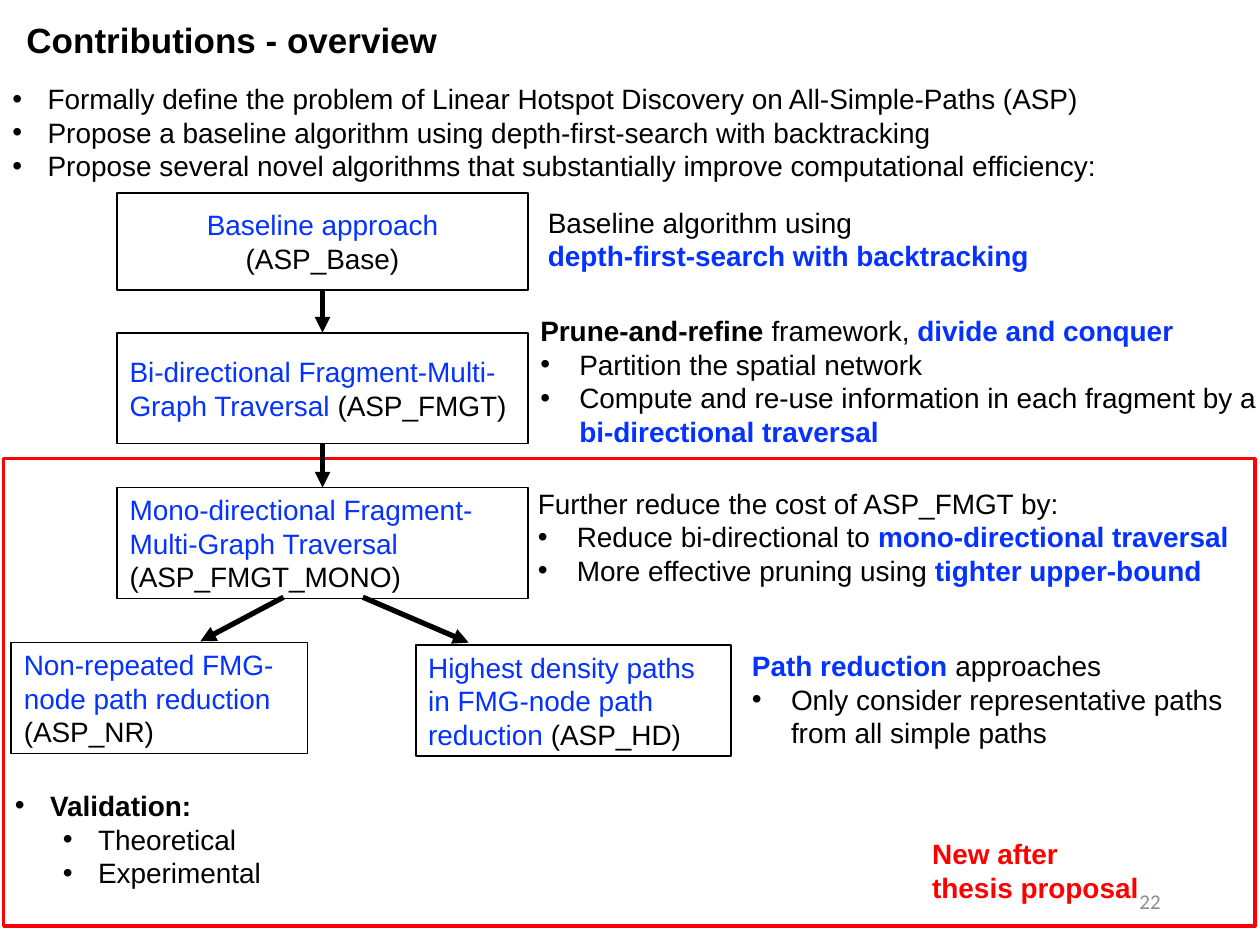
from lxml.etree import SubElement
from pptx import Presentation
from pptx.dml.color import RGBColor
from pptx.enum.shapes import MSO_CONNECTOR, MSO_SHAPE
from pptx.enum.text import MSO_ANCHOR, PP_ALIGN
from pptx.oxml.ns import qn
from pptx.util import Inches, Pt

theme = {
    "font": "Arial", "title": Pt(20), "body": Pt(16), "page": Pt(12),
    "black": RGBColor(0, 0, 0), "blue": RGBColor(0x04, 0x32, 0xFF),
    "red": RGBColor(0xFF, 0, 0), "gray": RGBColor(0x8C, 0x8C, 0x8C),
}

# Grid of 100 columns by 75 rows, with square cells
deck = Presentation()
deck.slide_width, deck.slide_height = Inches(10), Inches(7.5)
cell = deck.slide_width / 100
slide = deck.slides.add_slide(deck.slide_layouts[5])
shapes = slide.shapes

# Left margin of each paragraph kind, its hanging indent and its bullet
kinds = {
    "plain": (0, 0, ""), "item": (2.8, -2.8, "•"), "sub": (6.6, -2.8, "•"),
    "note": (3.1, -3.1, "•"), "more": (3.1, 0, ""),
}


def grid(*spots):
    return [round(spot * cell) for spot in spots]


def write(frame, lines, size="body", face=theme["font"], align=PP_ALIGN.LEFT):
    """Each line is its kind, then runs of (text, ink, bold)."""
    frame.word_wrap = True
    for i, (kind, *runs) in enumerate(lines):
        para = frame.add_paragraph() if i else frame.paragraphs[0]
        para.alignment = align
        left, hang, mark = kinds[kind]
        props = para._p.get_or_add_pPr()
        if left:
            props.set("marL", str(round(left * cell)))
            props.set("indent", str(round(hang * cell)))
        if mark:
            SubElement(props, qn("a:buFont"), typeface=theme["font"])
            SubElement(props, qn("a:buChar"), char=mark)
        para.font.name, para.font.size = face, theme[size]
        for text, ink, bold in runs:
            run = para.add_run()
            run.text = text
            font = para.font if len(runs) == 1 else run.font
            font.color.rgb, font.bold = theme[ink], bold


# Title
title = shapes.title
title.left, title.top, title.width, title.height = grid(1.1, -1.1, 90, 8.5)
title.text_frame.vertical_anchor = MSO_ANCHOR.MIDDLE
write(title.text_frame, [("plain", ("Contributions - overview", "black", True))], "title")

# Frame around the new work
frame = shapes.add_shape(MSO_SHAPE.RECTANGLE, *grid(0.3, 36.4, 99.3, 37.1))
frame.shadow.inherit = False
frame.fill.background()
frame.line.color.rgb, frame.line.width = theme["red"], Pt(2)

# Text blocks
blocks = [
    ((0, 6, 98.4, 14.5), [
        ("item", ("Formally define the problem of Linear Hotspot Discovery on "
                  "All-Simple-Paths (ASP)", "black", False)),
        ("item", ("Propose a baseline algorithm using depth-first-search with "
                  "backtracking", "black", False)),
        ("item", ("Propose several novel algorithms that substantially improve "
                  "computational efficiency:", "black", False))]),
    ((42.5, 15.8, 44.5, 6.4), [
        ("plain", ("Baseline algorithm using", "black", False)),
        ("plain", ("depth-first-search with backtracking", "blue", True))]),
    ((41.9, 24.4, 63.7, 11.8), [
        ("plain", ("Prune-and-refine", "black", True),
         (" framework, ", "black", False), ("divide and conquer", "blue", True)),
        ("note", ("Partition the spatial network", "black", False)),
        ("note", ("Compute and re-use information in each fragment by a", "black", False)),
        ("more", ("bi-directional traversal", "blue", True))]),
    ((41.7, 38.1, 58.3, 9.1), [
        ("plain", ("Further reduce the cost of ASP_FMGT by:", "black", False)),
        ("note", ("Reduce bi-directional to ", "black", False),
         ("mono-directional traversal", "blue", True)),
        ("note", ("More effective pruning using ", "black", False),
         ("tighter upper-bound", "blue", True))]),
    ((58.7, 51, 41, 9.1), [
        ("plain", ("Path reduction ", "blue", True), ("approaches", "black", False)),
        ("note", ("Only consider representative paths from all simple paths",
                  "black", False))]),
    ((0.2, 62.1, 58, 9.1), [
        ("item", ("Validation:", "black", True)),
        ("sub", ("Theoretical", "black", False)),
        ("sub", ("Experimental", "black", False))]),
    ((73, 65.9, 23.4, 6.4), [
        ("plain", ("New after", "red", True)),
        ("plain", ("thesis proposal", "red", True))]),
]
for place, lines in blocks:
    write(shapes.add_textbox(*grid(*place)).text_frame, lines)

# Algorithm boxes
steps = [
    ((9.3, 15.3, 32.6, 7.7), "Baseline approach ", "(ASP_Base)", PP_ALIGN.CENTER),
    ((9.3, 26.4, 32.6, 8.8), "Bi-directional Fragment-Multi-Graph Traversal ",
     "(ASP_FMGT)", PP_ALIGN.LEFT),
    ((9.3, 38.7, 32.6, 8.8), "Mono-directional Fragment-Multi-Graph Traversal ",
     "(ASP_FMGT_MONO)", PP_ALIGN.LEFT),
    ((0.9, 51, 23.5, 8.8), "Non-repeated FMG-node path reduction ",
     "(ASP_NR)", PP_ALIGN.LEFT),
    ((33, 51.2, 25, 8.8), "Highest density paths in FMG-node path reduction ",
     "(ASP_HD)", PP_ALIGN.LEFT),
]
boxes = []
for place, name, code, align in steps:
    box = shapes.add_shape(MSO_SHAPE.RECTANGLE, *grid(*place))
    box.shadow.inherit = False
    box.fill.background()
    box.line.color.rgb, box.line.width = theme["black"], Pt(1)
    box.text_frame.vertical_anchor = MSO_ANCHOR.MIDDLE
    write(box.text_frame, [("plain", (name, "blue", False), (code, "black", False))],
          align=align)
    boxes.append(box)

# Arrows: two join boxes down the column, two fan out below it
base, multi, mono = boxes[:3]
links = [
    ((25.6, 23, 25.6, 26.4), base, multi),
    ((25.6, 35.2, 25.6, 38.7), multi, mono),
    ((22.5, 47.4, 15.9, 50.9), None, None),
    ((28.8, 47.4, 37.2, 51), None, None),
]
for ends, start, stop in links:
    link = shapes.add_connector(MSO_CONNECTOR.STRAIGHT, *grid(*ends))
    if start:
        link.begin_connect(start, 2)
        link.end_connect(stop, 0)
    link.line.color.rgb, link.line.width = theme["black"], Pt(3)
    SubElement(link.get_or_add_ln(), qn("a:tailEnd"), type="triangle")
    SubElement(link._element.spPr, qn("a:effectLst"))

# Page number
page = shapes.add_textbox(*grid(70.6, 69.5, 22.5, 4)).text_frame
page.vertical_anchor = MSO_ANCHOR.MIDDLE
write(page, [("plain", ("22", "gray", False))], "page", "Calibri", PP_ALIGN.RIGHT)

deck.save("out.pptx")
